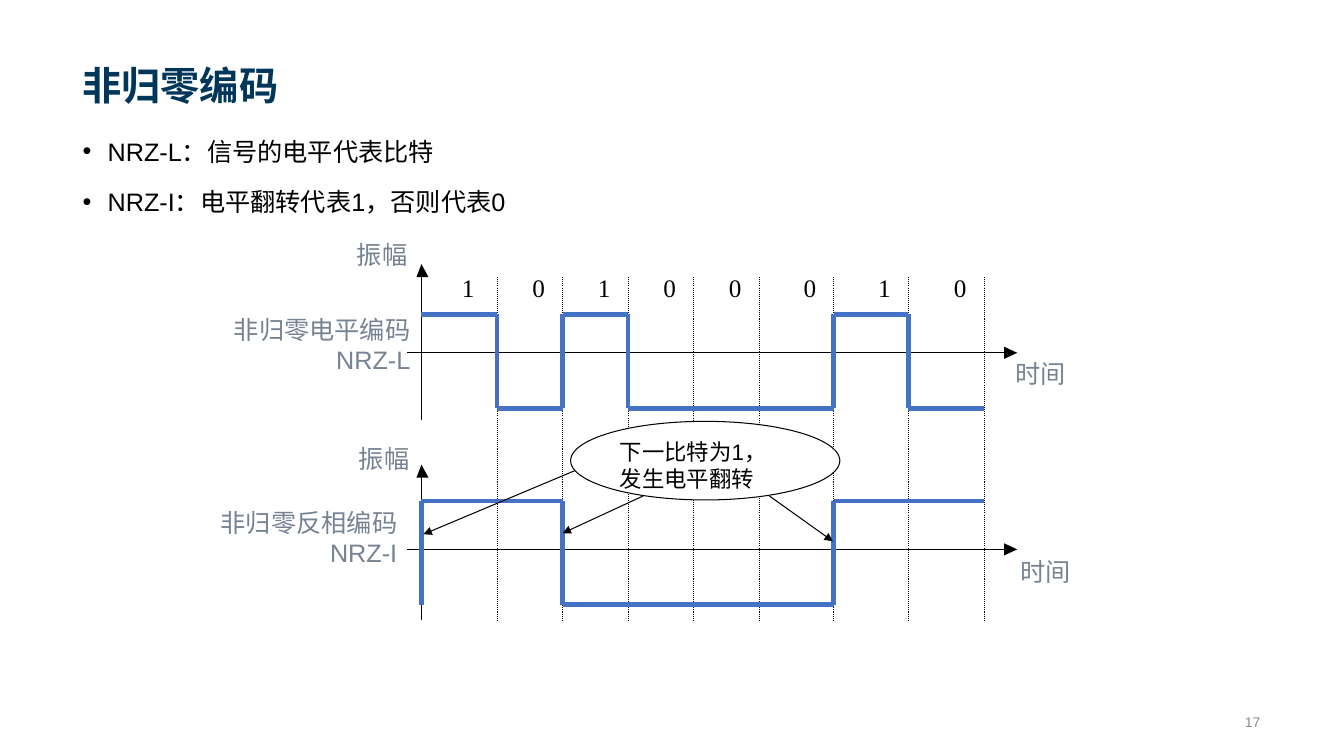
import itertools
from dataclasses import dataclass

import lxml.etree
import pptx
import pptx.dml.color
import pptx.enum.dml
import pptx.enum.shapes
import pptx.enum.text
import pptx.oxml.ns
import pptx.util

Inches = pptx.util.Inches
Align = pptx.enum.text.PP_ALIGN
Anchor = pptx.enum.text.MSO_ANCHOR


@dataclass(frozen=True)
class Theme:
    navy: str = "003659"
    gray: str = "8C8C8C"
    slate: str = "768394"
    blue: str = "4472C4"
    black: str = "000000"
    white: str = "FFFFFF"
    sans: str = "Arial"
    serif: str = "Times New Roman"
    asian: str = "Noto Sans CJK SC"
    head: float = 28
    body: float = 18
    note: float = 16
    foot: float = 10
    thin: float = 0.75
    thick: float = 3.38


def color(code):
    return pptx.dml.color.RGBColor.from_string(code)


def child(parent, tag, **attrs):
    return lxml.etree.SubElement(parent, pptx.oxml.ns.qn(tag), attrs)


class Deck:
    def __init__(self, theme):
        self.theme = theme
        self.file = pptx.Presentation()
        self.file.slide_width = Inches(13.33)
        self.file.slide_height = Inches(7.5)
        self.slide = self.file.slides.add_slide(self.file.slide_layouts[6])
        self.shapes = self.slide.shapes

    def fill(self, frame, rows, size, ink, font=None, bold=False, align=Align.LEFT, bullet=False):
        """Each row is a list of runs; a run is a text or a (text, font) pair."""
        for i, row in enumerate(rows):
            para = frame.paragraphs[0] if i == 0 else frame.add_paragraph()
            para.alignment = align
            if bullet:
                para.line_spacing = 1.2
                para.space_before = pptx.util.Pt(10 if i else 0)
                props = para._p.get_or_add_pPr()
                props.set("marL", str(Inches(0.25)))
                props.set("indent", str(-Inches(0.25)))
                child(props, "a:buFont", typeface=self.theme.sans)
                child(props, "a:buChar", char="•")
            for part in row:
                words, face = part if isinstance(part, tuple) else (part, font or self.theme.sans)
                run = para.add_run()
                run.text = words
                run.font.name = face
                run.font.size = pptx.util.Pt(size)
                run.font.bold = bold
                run.font.color.rgb = color(ink)
                child(run._r.get_or_add_rPr(), "a:ea", typeface=self.theme.asian)

    def text(self, x, y, w, h, rows, size, ink, anchor=Anchor.TOP, wrap=True, tight=False, **style):
        frame = self.shapes.add_textbox(Inches(x), Inches(y), Inches(w), Inches(h)).text_frame
        frame.word_wrap = wrap
        frame.vertical_anchor = anchor
        if tight:
            frame.margin_left = frame.margin_right = frame.margin_top = frame.margin_bottom = 0
            frame.auto_size = pptx.enum.text.MSO_AUTO_SIZE.SHAPE_TO_FIT_TEXT
        self.fill(frame, rows, size, ink, **style)

    def label(self, x, y, words):
        self.text(x, y, 0.5, 0.3, [[words]], self.theme.body, self.theme.slate,
                  wrap=False, tight=True, font=self.theme.asian)

    def line(self, start, end, ink=None, width=None, dotted=False, arrow=False):
        kind = pptx.enum.shapes.MSO_CONNECTOR.STRAIGHT
        link = self.shapes.add_connector(kind, *(Inches(v) for v in (*start, *end)))
        link.line.color.rgb = color(ink or self.theme.black)
        link.line.width = pptx.util.Pt(width or self.theme.thin)
        if dotted:
            link.line.dash_style = pptx.enum.dml.MSO_LINE.ROUND_DOT
        if arrow:
            child(link.line._get_or_add_ln(), "a:tailEnd", type="triangle")
        child(link._element.spPr, "a:effectLst")

    def tip(self, *points):
        first, *rest = [(Inches(x), Inches(y)) for x, y in points]
        build = self.shapes.build_freeform(*first)
        build.add_line_segments(rest, close=True)
        shape = build.convert_to_shape()
        shape.shadow.inherit = False
        shape.fill.solid()
        shape.fill.fore_color.rgb = color(self.theme.black)
        shape.line.fill.background()

    def axes(self, top, mid, base):
        self.line((4.18, base), (4.18, top + 0.11))
        self.tip((4.25, top + 0.13), (4.18, top), (4.13, top + 0.13))
        self.line((4.04, mid), (9.98, mid))
        self.tip((9.96, mid + 0.06), (10.09, mid), (9.96, mid - 0.06))

    def wave(self, edges, levels, start):
        """Draw one flat line per run of equal levels and a step between runs."""
        last, i = start, 0
        for level, group in itertools.groupby(levels):
            stop = i + len(list(group))
            pairs = [((edges[i], level), (edges[stop], level))]
            if level != last:
                pairs.append(((edges[i], last), (edges[i], level)))
            for a, b in pairs:
                self.line(a, b, self.theme.blue, self.theme.thick)
            last, i = level, stop

    def bubble(self, x, y, w, h, rows):
        shape = self.shapes.add_shape(pptx.enum.shapes.MSO_SHAPE.OVAL,
                                      Inches(x), Inches(y), Inches(w), Inches(h))
        shape.shadow.inherit = False
        shape.fill.solid()
        shape.fill.fore_color.rgb = color(self.theme.white)
        shape.line.color.rgb = color(self.theme.black)
        shape.line.width = pptx.util.Pt(self.theme.thin)
        shape.text_frame.vertical_anchor = Anchor.TOP
        self.fill(shape.text_frame, rows, self.theme.note, self.theme.black)


def main():
    theme = Theme()
    deck = Deck(theme)
    bits = "10100010"
    edges = [4.18, 4.93, 5.58, 6.23, 6.88, 7.53, 8.27, 9.01, 9.76]

    # Title, bullets and page number
    deck.text(0.72, 0.14, 11.88, 0.98, [["非归零编码"]], theme.head, theme.navy,
              anchor=Anchor.BOTTOM, bold=True)
    deck.text(0.72, 1.24, 11.88, 5.47,
              [["NRZ-L：信号的电平代表比特"], ["NRZ-I：电平翻转代表1，否则代表0"]],
              theme.body, theme.black, bullet=True)
    deck.text(8.5, 7.01, 4.1, 0.3, [["17"]], theme.foot, theme.gray,
              anchor=Anchor.MIDDLE, align=Align.RIGHT)

    # Axes of both charts
    deck.axes(2.62, 3.5, 4.17)
    deck.axes(4.61, 5.45, 6.15)

    # Bits and their dotted bounds
    for i, (bit, edge) in enumerate(zip(bits, edges[1:])):
        gap = 0.3 if i else 0.35
        deck.text(edge - gap, 2.7, 0.12, 0.3, [[bit]], theme.body, theme.black,
                  wrap=False, tight=True, font=theme.serif)
        deck.line((edge, 2.75), (edge, 6.15), dotted=True)

    # Axis and signal names
    for x, y, words in [(3.54, 2.37, "振幅"), (10.07, 3.55, "时间"),
                        (3.56, 4.4, "振幅"), (10.12, 5.52, "时间")]:
        deck.label(x, y, words)
    for y, width, kind, code in [(3.12, 2.09, "电平编码", "NRZ-L"),
                                 (5.03, 1.96, "反相编码", "NRZ-I")]:
        deck.text(1.98, y, width, 0.61, [[("非归零", theme.asian), kind], [code]],
                  theme.body, theme.slate, tight=True, align=Align.RIGHT)

    # NRZ-L: the level is the bit
    high, low = 3.12, 4.05
    deck.wave(edges, [high if bit == "1" else low for bit in bits], high)

    # NRZ-I: each 1 flips the level
    high, low = 4.97, 6
    flips = itertools.accumulate(int(bit) for bit in bits)
    deck.wave(edges, [high if count % 2 else low for count in flips], low)

    # Callout with arrows to the flips
    deck.bubble(5.66, 4.18, 2.67, 0.78, [["下一比特为1，"], ["发生电平翻转"]])
    for start, end in [((5.7, 4.67), (4.2, 5.3)), ((6.38, 4.92), (5.58, 5.29)),
                       ((7.63, 4.92), (8.26, 5.37))]:
        deck.line(start, end, arrow=True)

    deck.file.save("out.pptx")


if __name__ == "__main__":
    main()
